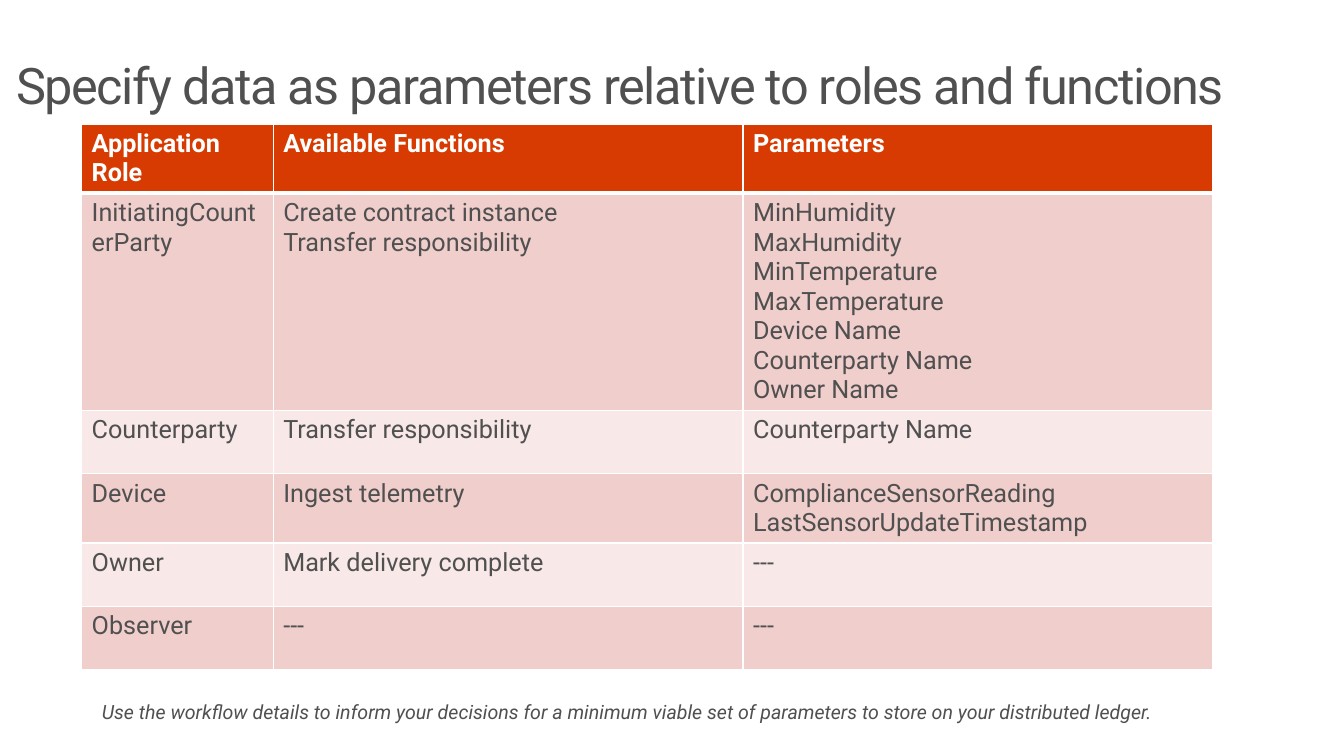
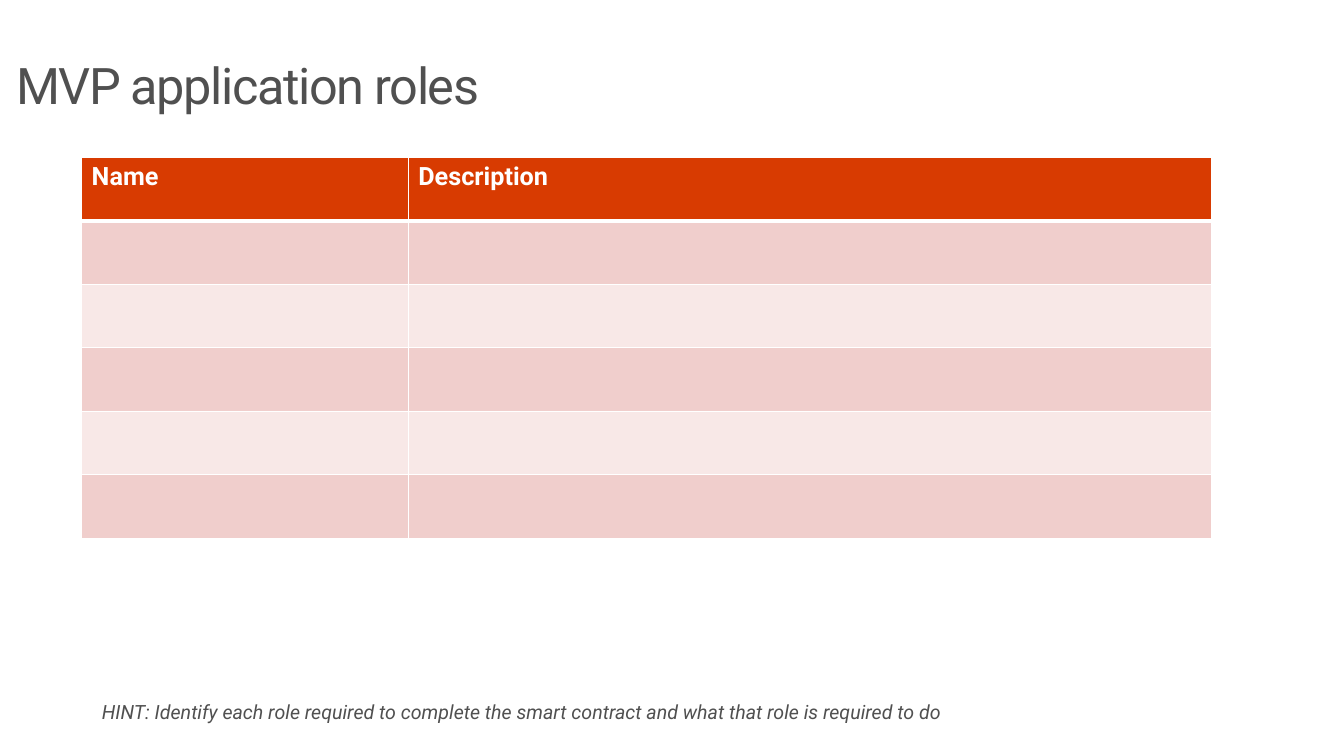
import pptx
import pptx.dml.color
import pptx.enum.text
import pptx.oxml
import pptx.util
from pptx.util import Inches

COLORS = {
    "text": "505050",
    "white": "FFFFFF",
    "header": "D83B01",
    "odd": "F0CECC",
    "even": "F8E8E7",
}
FONT = "Roboto"
LEFT, WIDTH = 0.81, 11.21
ROW_HEIGHT = 0.63

FUNCTION_ROWS = [
    ["Application Role", "Available Functions", "Parameters"],
    [
        "InitiatingCounterParty",
        "Create contract instance\nTransfer responsibility",
        "MinHumidity\nMaxHumidity\nMinTemperature\nMaxTemperature\n"
        "Device Name\nCounterparty Name\nOwner Name",
    ],
    ["Counterparty", "Transfer responsibility", "Counterparty Name"],
    ["Device", "Ingest telemetry", "ComplianceSensorReading\nLastSensorUpdateTimestamp"],
    ["Owner", "Mark delivery complete", "---"],
    ["Observer", "---", "---"],
]
ROLE_ROWS = [["Name", "Description"]] + [["", ""]] * 5


def rgb(name):
    return pptx.dml.color.RGBColor.from_string(COLORS[name])


def write(tf, text, size=18, color="text", bold=False, italic=False,
          spacing=None, line_spacing=None, space_after=None):
    for i, line in enumerate(text.split("\n")):
        p = tf.paragraphs[0] if i == 0 else tf.add_paragraph()
        p.alignment = pptx.enum.text.PP_ALIGN.LEFT
        if line_spacing is not None:
            p.line_spacing = line_spacing
        if space_after is not None:
            p.space_after = pptx.util.Pt(space_after)
        p.font.size = pptx.util.Pt(size)
        if not line:
            continue
        r = p.add_run()
        r.text = line
        r.font.name = FONT
        r.font.size = pptx.util.Pt(size)
        r.font.bold = bold
        r.font.italic = italic
        r.font.color.rgb = rgb(color)
        if spacing is not None:
            r.font._element.set("spc", str(int(spacing * 100)))


def set_frame(tf, x_inset, y_inset):
    tf.word_wrap = True
    tf.auto_size = pptx.enum.text.MSO_AUTO_SIZE.NONE
    tf.vertical_anchor = pptx.enum.text.MSO_ANCHOR.TOP
    tf.margin_left = tf.margin_right = Inches(x_inset)
    tf.margin_top = tf.margin_bottom = Inches(y_inset)


def add_title(s, text):
    sp = s.shapes.title
    sp.left, sp.top = Inches(0), Inches(0.5)
    sp.width, sp.height = Inches(13.33), Inches(1.82)
    set_frame(sp.text_frame, 0.16, 0.1)
    write(sp.text_frame, text, size=36, spacing=-1, line_spacing=0.9)


def add_hint(s, text):
    sp = s.shapes.add_textbox(Inches(LEFT), Inches(6.81), Inches(WIDTH), Inches(0.54))
    set_frame(sp.text_frame, 0.2, 0.16)
    write(sp.text_frame, text, size=14, italic=True, line_spacing=0.9, space_after=6)


def set_borders(cell, **widths):
    tc_pr = cell._tc.get_or_add_tcPr()
    for side in "LRTB":
        ln = pptx.oxml.parse_xml(
            '<a:ln%s xmlns:a="http://schemas.openxmlformats.org/drawingml/2006/main" w="%d">'
            '<a:solidFill><a:srgbClr val="%s"/></a:solidFill></a:ln%s>'
            % (side, pptx.util.Pt(widths.get(side, 1)), COLORS["white"], side))
        tc_pr.append(ln)


def add_table(s, top, col_widths, rows):
    table = s.shapes.add_table(
        len(rows), len(col_widths), Inches(LEFT), Inches(top),
        Inches(WIDTH), Inches(ROW_HEIGHT * len(rows))).table
    for col, width in zip(table.columns, col_widths):
        col.width = Inches(width)
    for i, texts in enumerate(rows):
        table.rows[i].height = Inches(ROW_HEIGHT)
        header = i == 0
        fill = "header" if header else "odd" if i % 2 else "even"
        for j, text in enumerate(texts):
            cell = table.cell(i, j)
            set_borders(cell, T=3 if i == 1 else 1, B=3 if header else 1)
            cell.fill.solid()
            cell.fill.fore_color.rgb = rgb(fill)
            write(cell.text_frame, text, color="white" if header else "text", bold=header)


def add_table_slide(prs, title, top, col_widths, rows, hint):
    s = prs.slides.add_slide(prs.slide_layouts[5])
    add_title(s, title)
    add_table(s, top, col_widths, rows)
    add_hint(s, hint)


def main():
    prs = pptx.Presentation()
    prs.slide_width, prs.slide_height = Inches(13.33), Inches(7.5)
    add_table_slide(
        prs, "Specify data as parameters relative to roles and functions",
        1.23, [1.9, 4.66, 4.66], FUNCTION_ROWS,
        "Use the workflow details to inform your decisions for a minimum viable "
        "set of parameters to store on your distributed ledger.")
    add_table_slide(
        prs, "MVP application roles",
        1.56, [3.24, 7.97], ROLE_ROWS,
        "HINT: Identify each role required to complete the smart contract "
        "and what that role is required to do")
    prs.save("out.pptx")


if __name__ == "__main__":
    main()
